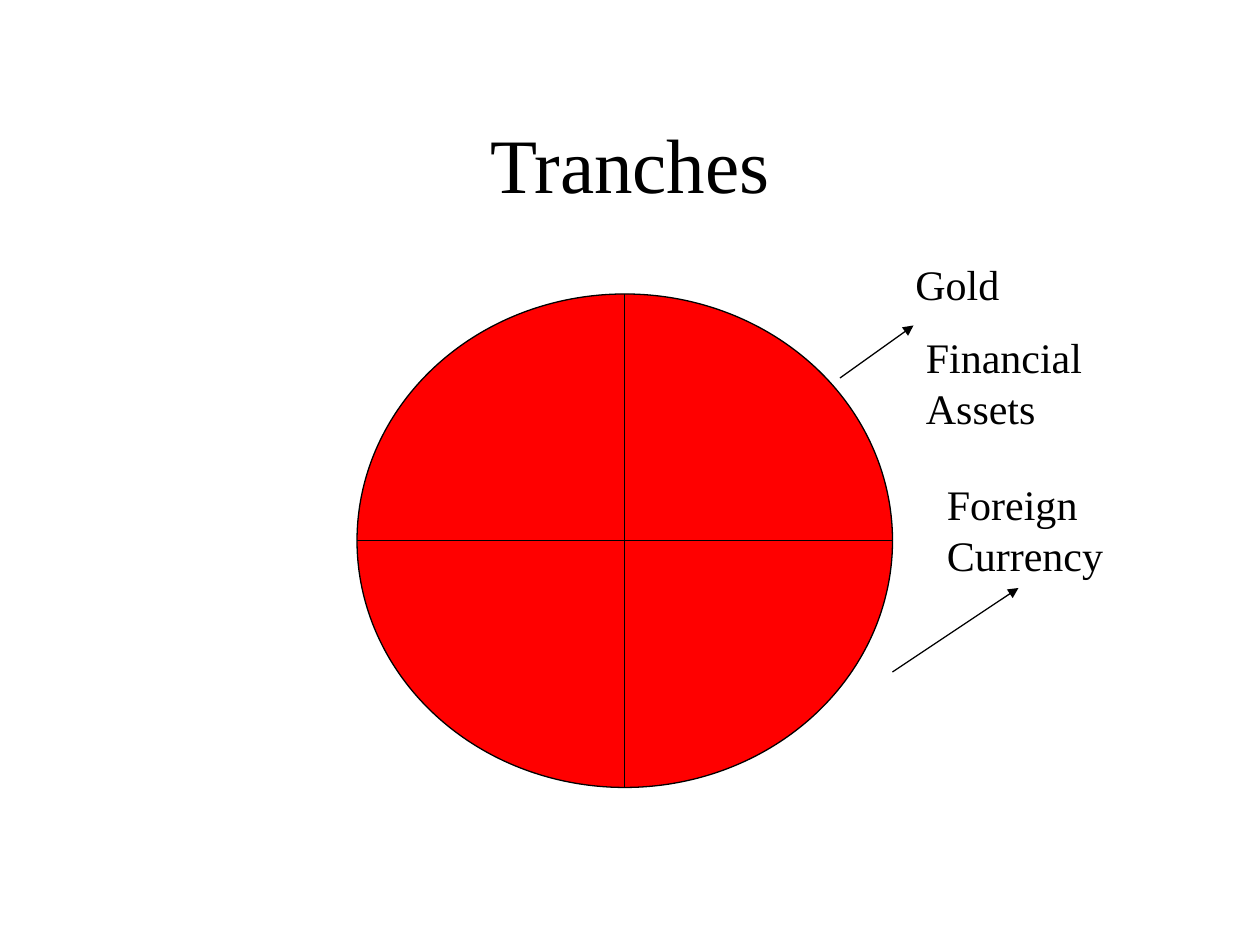
import pptx
import pptx.util
import pptx.dml.color
import pptx.enum.shapes
import pptx.enum.text
import pptx.oxml.ns
import lxml.etree

COLORS = {"ink": "000000", "circle": "FF0000"}
FONT = "Times New Roman"
LINE_WIDTH = pptx.util.Pt(0.74)

presentation = pptx.Presentation()
presentation.slide_width = pptx.util.Inches(10)
presentation.slide_height = pptx.util.Inches(7.5)
slide = presentation.slides.add_slide(presentation.slide_layouts[6])
COLUMN = presentation.slide_width / 120
ROW = presentation.slide_height / 90
ink = pptx.dml.color.RGBColor.from_string(COLORS["ink"])


def place(*cells):
    return [int(cell * unit) for cell, unit in zip(cells, (COLUMN, ROW) * 2)]


def add_text(text, cells, size):
    box = slide.shapes.add_textbox(*place(*cells))
    box.text_frame.word_wrap = True
    paragraph = box.text_frame.paragraphs[0]
    paragraph.text = text
    paragraph.font.name = FONT
    paragraph.font.size = pptx.util.Pt(size)
    paragraph.font.color.rgb = ink
    return box.text_frame


title = add_text("Tranches", (9, 8, 102, 15), 44)
title.vertical_anchor = pptx.enum.text.MSO_ANCHOR.MIDDLE
title.paragraphs[0].alignment = pptx.enum.text.PP_ALIGN.CENTER

circle = slide.shapes.add_shape(
    pptx.enum.shapes.MSO_SHAPE.FLOWCHART_OR, *place(34, 28, 51, 47)
)
circle.shadow.inherit = False
circle.fill.solid()
circle.fill.fore_color.rgb = pptx.dml.color.RGBColor.from_string(COLORS["circle"])
circle.line.color.rgb = ink
circle.line.width = LINE_WIDTH

for ends in [(80, 36, 87, 31), (85, 64, 97, 56)]:
    arrow = slide.shapes.add_connector(
        pptx.enum.shapes.MSO_CONNECTOR.STRAIGHT, *place(*ends)
    )
    arrow.line.color.rgb = ink
    arrow.line.width = LINE_WIDTH
    properties = arrow._element.spPr
    line = properties.find(pptx.oxml.ns.qn("a:ln"))
    lxml.etree.SubElement(line, pptx.oxml.ns.qn("a:tailEnd"), type="triangle")
    lxml.etree.SubElement(properties, pptx.oxml.ns.qn("a:effectLst"))

for label, cells in [
    ("Gold", (86, 24, 21, 6)),
    ("Financial Assets", (87, 31, 19, 10.8)),
    ("Foreign Currency", (89, 45, 22, 10.8)),
]:
    frame = add_text(label, cells, 24)
    frame.auto_size = pptx.enum.text.MSO_AUTO_SIZE.SHAPE_TO_FIT_TEXT
    frame.paragraphs[0].space_before = pptx.util.Pt(15)

presentation.save("out.pptx")
